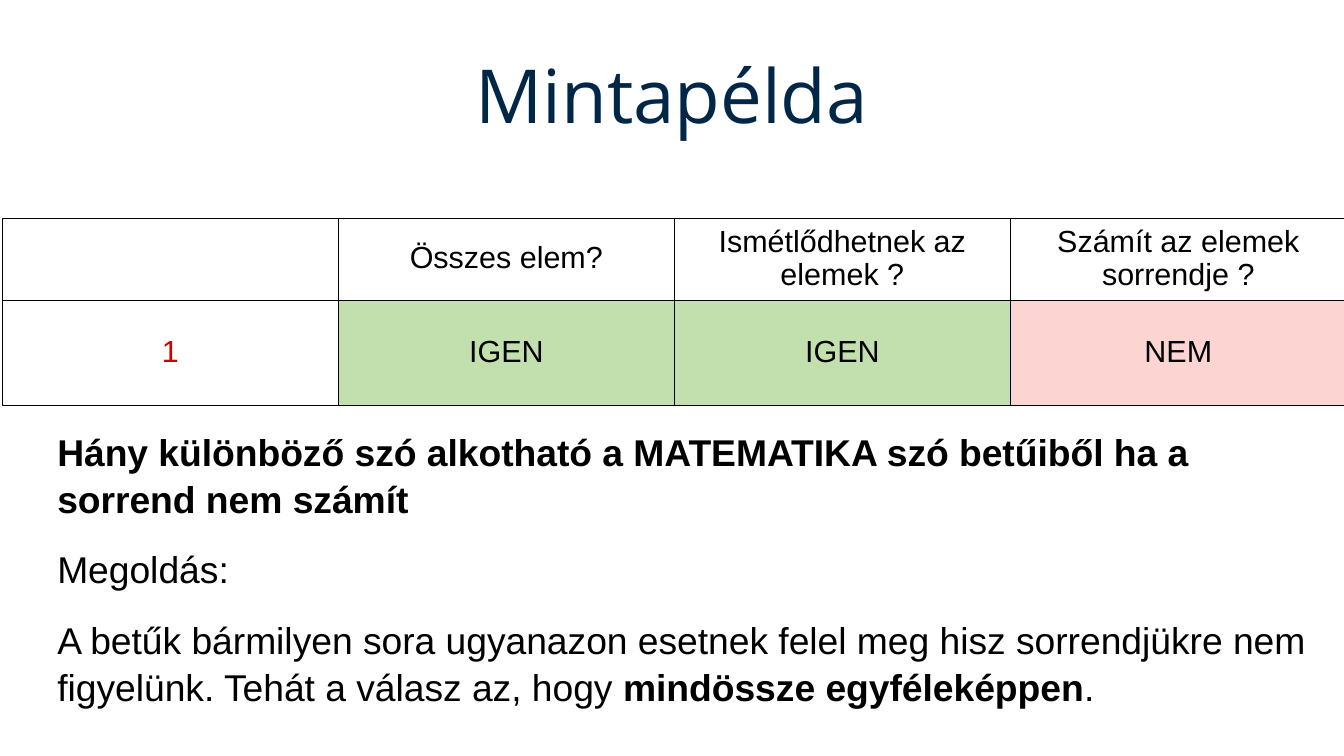
from lxml import etree
from pptx import Presentation
from pptx.dml.color import RGBColor
from pptx.enum.text import MSO_ANCHOR, PP_ALIGN
from pptx.oxml.ns import qn
from pptx.util import Inches, Pt

MIDDLE, TOP = MSO_ANCHOR.MIDDLE, MSO_ANCHOR.TOP
CENTER, LEFT = PP_ALIGN.CENTER, PP_ALIGN.LEFT
BLACK = RGBColor(0x00, 0x00, 0x00)
WHITE = RGBColor(0xFF, 0xFF, 0xFF)
NAVY = RGBColor(0x00, 0x26, 0x48)
RED = RGBColor(0xCD, 0x00, 0x00)
GREEN = RGBColor(0xC2, 0xE0, 0xAE)
PINK = RGBColor(0xFC, 0xD4, 0xD1)

HEAD = {"name": "Open Sans", "size": Pt(44), "color": NAVY}
BODY = {"name": "Arial", "size": Pt(22), "color": BLACK}
CELL = {"name": "Arial", "size": Pt(18), "color": BLACK}

ROWS = [
    [("", WHITE), ("Összes elem?", WHITE),
     ("Ismétlődhetnek az elemek ?", WHITE),
     ("Számít az elemek sorrendje ?", WHITE)],
    [("1", WHITE), ("IGEN", GREEN), ("IGEN", GREEN), ("NEM", PINK)],
]
TASK = [
    [("Hány különböző szó alkotható a MATEMATIKA szó betűiből "
      "ha a sorrend nem számít", True)],
    [("Megoldás:", False)],
    [("A betűk bármilyen sora ugyanazon esetnek felel meg hisz "
      "sorrendjükre nem figyelünk. Tehát a válasz az, hogy ", False),
     ("mindössze egyféleképpen", True), (".", False)],
]


def apply(item, style):
    for key, value in style.items():
        if key == "color":
            item.color.rgb = value
        else:
            setattr(item, key, value)


def add_run(para, text, style):
    run = para.add_run()
    run.text = text
    apply(run.font, style)


def add_box(slide, box, anchor):
    frame = slide.shapes.add_textbox(*map(Inches, box)).text_frame
    apply(frame, {"word_wrap": True, "vertical_anchor": anchor,
                  "margin_left": 0, "margin_right": 0,
                  "margin_top": 0, "margin_bottom": 0})
    return frame


def add_title(slide, box):
    para = add_box(slide, box, MIDDLE).paragraphs[0]
    para.alignment = CENTER
    add_run(para, "Mintapélda", HEAD)


def add_task(slide, box):
    frame = add_box(slide, box, TOP)
    frame.margin_left = Inches(0.47)
    for index, parts in enumerate(TASK):
        para = frame.add_paragraph() if index else frame.paragraphs[0]
        apply(para, {"alignment": LEFT, "line_spacing": 1.05,
                     "space_before": Pt(14.1)})
        for text, bold in parts:
            add_run(para, text, {**BODY, "bold": bold})


def add_edges(cell):
    props = cell._tc.get_or_add_tcPr()
    for index, side in enumerate(("lnL", "lnR", "lnT", "lnB")):
        line = etree.Element(qn(f"a:{side}"), w=str(Pt(0.06)))
        fill = etree.SubElement(line, qn("a:solidFill"))
        etree.SubElement(fill, qn("a:srgbClr"), val=str(BLACK))
        props.insert(index, line)


def add_grid(slide, box):
    place = map(Inches, box)
    table = slide.shapes.add_table(len(ROWS), len(ROWS[0]), *place).table
    apply(table, {"first_row": False, "horz_banding": False})
    for row, height in zip(table.rows, (0.66, 0.86)):
        row.height = Inches(height)
    for y, row in enumerate(ROWS):
        for x, (text, color) in enumerate(row):
            cell = table.cell(y, x)
            apply(cell, {"vertical_anchor": MIDDLE,
                         "margin_left": Inches(0.1),
                         "margin_right": Inches(0.1),
                         "margin_top": Inches(0.05),
                         "margin_bottom": Inches(0.05)})
            cell.fill.solid()
            cell.fill.fore_color.rgb = color
            add_edges(cell)
            para = cell.text_frame.paragraphs[0]
            apply(para, {"alignment": CENTER, "line_spacing": 0.95})
            if text:
                ink = RED if x == 0 else BLACK
                add_run(para, text, {**CELL, "color": ink})


def main():
    deck = Presentation()
    apply(deck, {"slide_width": Inches(11.02), "slide_height": Inches(6.2)})
    slide = deck.slides.add_slide(deck.slide_layouts[6])
    add_task(slide, (0, 3.5, 10.8, 2.55))
    add_grid(slide, (0.02, 1.79, 11.02, 1.52))
    add_title(slide, (0.55, 0.25, 9.92, 1.04))
    deck.save("out.pptx")


if __name__ == "__main__":
    main()
